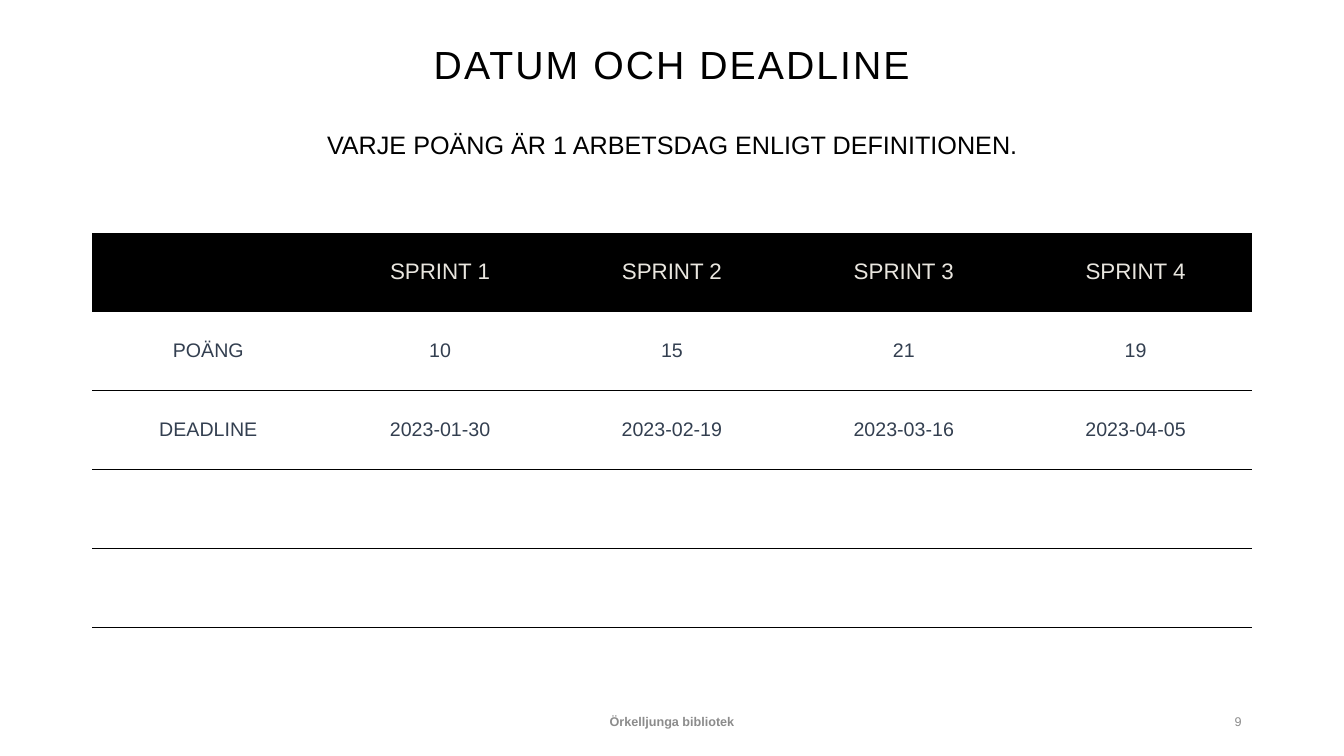
from lxml.etree import SubElement
from pptx import Presentation
from pptx.dml.color import RGBColor
from pptx.enum.text import MSO_ANCHOR as Anchor, MSO_AUTO_SIZE as AutoSize, PP_ALIGN as Align
from pptx.oxml.ns import qn
from pptx.util import Pt

BLACK, GREY, SLATE, CREAM = "000000", "8C8C8C", "333F50", "E9E6DF"


def format_text(text_frame, size, color, align=Align.CENTER, anchor=Anchor.MIDDLE, bold=False):
    text_frame.word_wrap = True
    text_frame.vertical_anchor = anchor
    for paragraph in text_frame.paragraphs:
        paragraph.alignment = align
        for run in paragraph.runs:
            run.font.name = "Arial"
            run.font.size = Pt(size)
            run.font.bold = bold
            run.font.color.rgb = RGBColor.from_string(color)


def set_borders(cell, color, width):
    properties = cell._tc.get_or_add_tcPr()
    for side in ("lnL", "lnR"):
        SubElement(SubElement(properties, qn(f"a:{side}")), qn("a:noFill"))
    for side in ("lnT", "lnB"):
        line = SubElement(properties, qn(f"a:{side}"), w=str(Pt(width)))
        fill = SubElement(line, qn("a:solidFill"))
        SubElement(fill, qn("a:srgbClr"), val=color)


presentation = Presentation()
presentation.slide_width, presentation.slide_height = Pt(960), Pt(540)
slide = presentation.slides.add_slide(presentation.slide_layouts[5])

title = slide.shapes.title
title.left, title.top, title.width, title.height = Pt(66), Pt(29), Pt(828), Pt(52)
title.text_frame.text = "DATUM OCH DEADLINE"
title.text_frame.auto_size = AutoSize.NONE
format_text(title.text_frame, 28, BLACK, anchor=Anchor.TOP)
title_paragraph = title.text_frame.paragraphs[0]
title_paragraph.line_spacing = 0.9
title_paragraph.runs[0].font._element.set("spc", "150")

rows = [
    ["", "SPRINT 1", "SPRINT 2", "SPRINT 3", "SPRINT 4"],
    ["POÄNG", "10", "15", "21", "19"],
    ["DEADLINE", "2023-01-30", "2023-02-19", "2023-03-16", "2023-04-05"],
    [""] * 5,
    [""] * 5,
]
table = slide.shapes.add_table(5, 5, Pt(66), Pt(166.3), Pt(828), Pt(281.5)).table
table.first_row = table.horz_banding = False
for row_index, row in enumerate(rows):
    is_header = row_index == 0
    for column_index, text in enumerate(row):
        cell = table.cell(row_index, column_index)
        cell.text_frame.text = text
        format_text(cell.text_frame, 16 if is_header else 14, CREAM if is_header else SLATE)
        cell.vertical_anchor = Anchor.MIDDLE
        set_borders(cell, BLACK, 0.5)
        if is_header:
            cell.fill.solid()
            cell.fill.fore_color.rgb = RGBColor.from_string(BLACK)
        else:
            cell.fill.background()

labels = [
    ("Örkelljunga bibliotek", 318, 500.5, 324, 29, 9, GREY, Align.CENTER, Anchor.MIDDLE, True),
    ("9", 678, 500.5, 216, 29, 9, GREY, Align.RIGHT, Anchor.MIDDLE, False),
    ("VARJE POÄNG ÄR 1 ARBETSDAG ENLIGT DEFINITIONEN.", 118.8, 88.6, 723, 29, 18, BLACK,
     Align.CENTER, Anchor.TOP, False),
]
for text, left, top, width, height, *style in labels:
    label = slide.shapes.add_textbox(Pt(left), Pt(top), Pt(width), Pt(height))
    label.text_frame.text = text
    format_text(label.text_frame, *style)

presentation.save("out.pptx")
